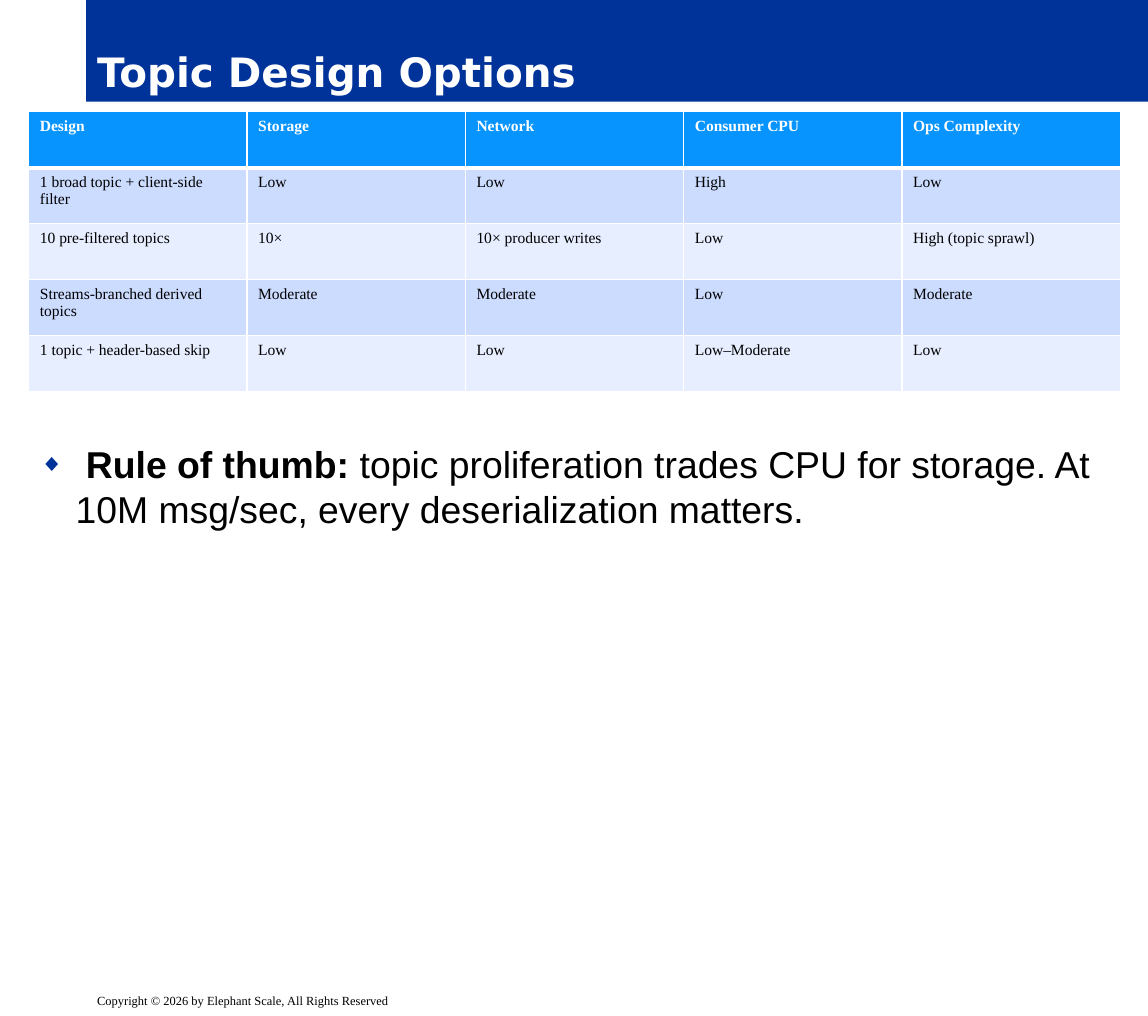
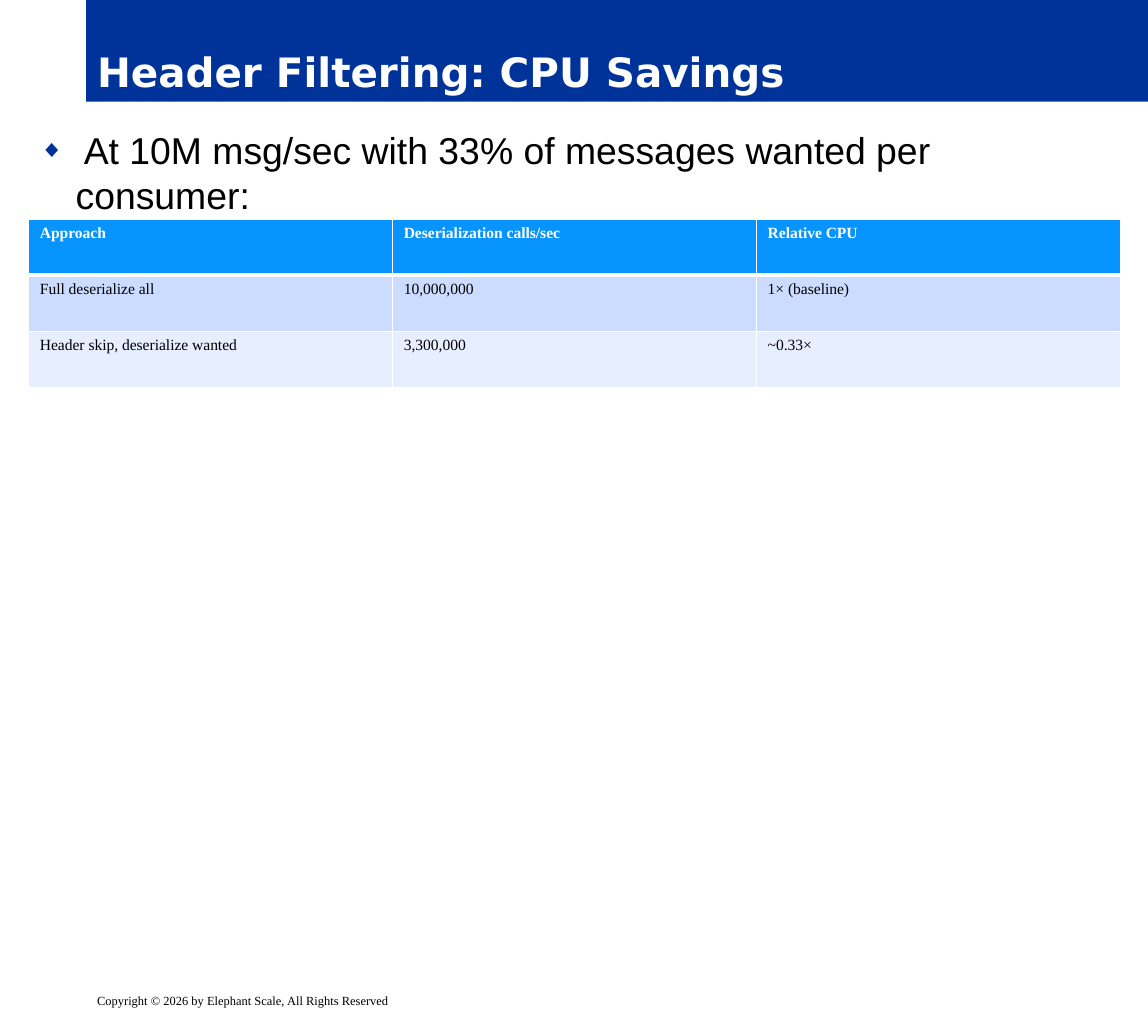
from lxml import etree
from pptx import Presentation
from pptx.dml.color import RGBColor
from pptx.enum.shapes import MSO_SHAPE
from pptx.enum.text import MSO_ANCHOR, PP_ALIGN
from pptx.oxml.ns import qn
from pptx.util import Inches, Pt

RECTANGLE = MSO_SHAPE.RECTANGLE
BOTTOM = MSO_ANCHOR.BOTTOM
TOP = MSO_ANCHOR.TOP
LEFT = PP_ALIGN.LEFT


def color(value):
    return RGBColor.from_string(value)


class Deck:
    NAVY, BLUE, WHITE, BLACK = "003399", "0794FF", "FFFFFF", "000000"
    BANDS = ("CCDCFF", "E7EEFF")
    TITLE_FONT, BODY_FONT, TABLE_FONT = "DejaVu Sans", "Arial", "Times New Roman"
    TITLE_LEFT, TITLE_HEIGHT = 7.5, 10
    CONTENT_LEFT, CONTENT_WIDTH, CONTENT_BOTTOM = 2.5, 95.1, 94.4
    ROW_HEIGHT = 5.51
    FOOTER_TOP = 97.2
    FOOTER = "Copyright © 2026 by Elephant Scale, All Rights Reserved"

    def __init__(self):
        self.presentation = Presentation()
        self.presentation.slide_width = Inches(10.25)
        self.presentation.slide_height = Inches(9.07)
        self.slide = None

    def place(self, left, top, width, height):
        slide_width = self.presentation.slide_width
        slide_height = self.presentation.slide_height
        return (int(slide_width * left / 100), int(slide_height * top / 100),
                int(slide_width * width / 100), int(slide_height * height / 100))

    def style(self, paragraph, name, size, ink, bold=None):
        paragraph.alignment = LEFT
        font = paragraph.font
        font.name, font.size, font.bold = name, Pt(size), bold
        font.color.rgb = color(ink)

    def add_slide(self, title):
        self.slide = self.presentation.slides.add_slide(self.presentation.slide_layouts[6])
        self.title(title)
        self.footer()

    def title(self, text):
        band = self.slide.shapes.add_shape(
            RECTANGLE, *self.place(self.TITLE_LEFT, 0, 100 - self.TITLE_LEFT, self.TITLE_HEIGHT))
        band.shadow.inherit = False
        band.fill.solid()
        band.fill.fore_color.rgb = color(self.NAVY)
        band.line.fill.background()
        frame = band.text_frame
        frame.vertical_anchor = BOTTOM
        frame.text = text
        self.style(frame.paragraphs[0], self.TITLE_FONT, 26, self.WHITE, True)

    def text_frame(self, left, top, width, height):
        frame = self.slide.shapes.add_textbox(*self.place(left, top, width, height)).text_frame
        frame.word_wrap = True
        frame.vertical_anchor = TOP
        return frame

    def footer(self):
        frame = self.text_frame(self.TITLE_LEFT, self.FOOTER_TOP,
                                100 - self.TITLE_LEFT, 100 - self.FOOTER_TOP)
        frame.text = self.FOOTER
        self.style(frame.paragraphs[0], self.TABLE_FONT, 8, self.BLACK)

    def bullet(self, top, text, lead=""):
        frame = self.text_frame(self.CONTENT_LEFT, top, self.CONTENT_WIDTH,
                                self.CONTENT_BOTTOM - top)
        paragraph = frame.paragraphs[0]
        properties = paragraph._p.get_or_add_pPr()
        properties.set("marL", str(Inches(0.32)))
        properties.set("indent", str(-Inches(0.32)))
        bullet_color = etree.SubElement(properties, qn("a:buClr"))
        etree.SubElement(bullet_color, qn("a:srgbClr"), val=self.NAVY)
        etree.SubElement(properties, qn("a:buSzPct"), val="65000")
        etree.SubElement(properties, qn("a:buFont"), typeface=self.BODY_FONT)
        etree.SubElement(properties, qn("a:buChar"), char="◆")
        self.style(paragraph, self.BODY_FONT, 24, self.BLACK)
        if lead:
            run = paragraph.add_run()
            run.text = lead
            run.font.bold = True
        paragraph.add_run().text = text

    def border(self, cell, side, width):
        line = etree.SubElement(cell._tc.get_or_add_tcPr(), qn(f"a:ln{side}"), w=str(Pt(width)))
        fill = etree.SubElement(line, qn("a:solidFill"))
        etree.SubElement(fill, qn("a:srgbClr"), val=self.WHITE)

    def cell(self, cell, text, row):
        header = row == 0
        widths = {"L": 1, "R": 1, "T": 3 if row == 1 else 1, "B": 3 if header else 1}
        for side, width in widths.items():
            self.border(cell, side, width)
        cell.fill.solid()
        cell.fill.fore_color.rgb = color(self.BLUE if header else self.BANDS[(row - 1) % 2])
        cell.text = text
        self.style(cell.text_frame.paragraphs[0], self.TABLE_FONT, 10,
                   self.WHITE if header else self.BLACK, header)

    def table(self, top, rows):
        box = self.place(self.CONTENT_LEFT, top, self.CONTENT_WIDTH, self.ROW_HEIGHT * len(rows))
        table = self.slide.shapes.add_table(len(rows), len(rows[0]), *box).table
        table.horz_banding = False
        for row, texts in enumerate(rows):
            for column, text in enumerate(texts):
                self.cell(table.cell(row, column), text, row)


def main():
    deck = Deck()

    deck.add_slide("Topic Design Options")
    deck.bullet(42.9, " topic proliferation trades CPU for storage. "
                "At 10M msg/sec, every deserialization matters.", " Rule of thumb:")
    deck.table(11, [
        ("Design", "Storage", "Network", "Consumer CPU", "Ops Complexity"),
        ("1 broad topic + client-side filter", "Low", "Low", "High", "Low"),
        ("10 pre-filtered topics", "10×", "10× producer writes", "Low", "High (topic sprawl)"),
        ("Streams-branched derived topics", "Moderate", "Moderate", "Low", "Moderate"),
        ("1 topic + header-based skip", "Low", "Low", "Low–Moderate", "Low"),
    ])

    deck.add_slide("Header Filtering: CPU Savings")
    deck.bullet(12, " At 10M msg/sec with 33% of messages wanted per consumer:")
    deck.table(21.6, [
        ("Approach", "Deserialization calls/sec", "Relative CPU"),
        ("Full deserialize all", "10,000,000", "1× (baseline)"),
        ("Header skip, deserialize wanted", "3,300,000", "~0.33×"),
    ])

    deck.presentation.save("out.pptx")


if __name__ == "__main__":
    main()
